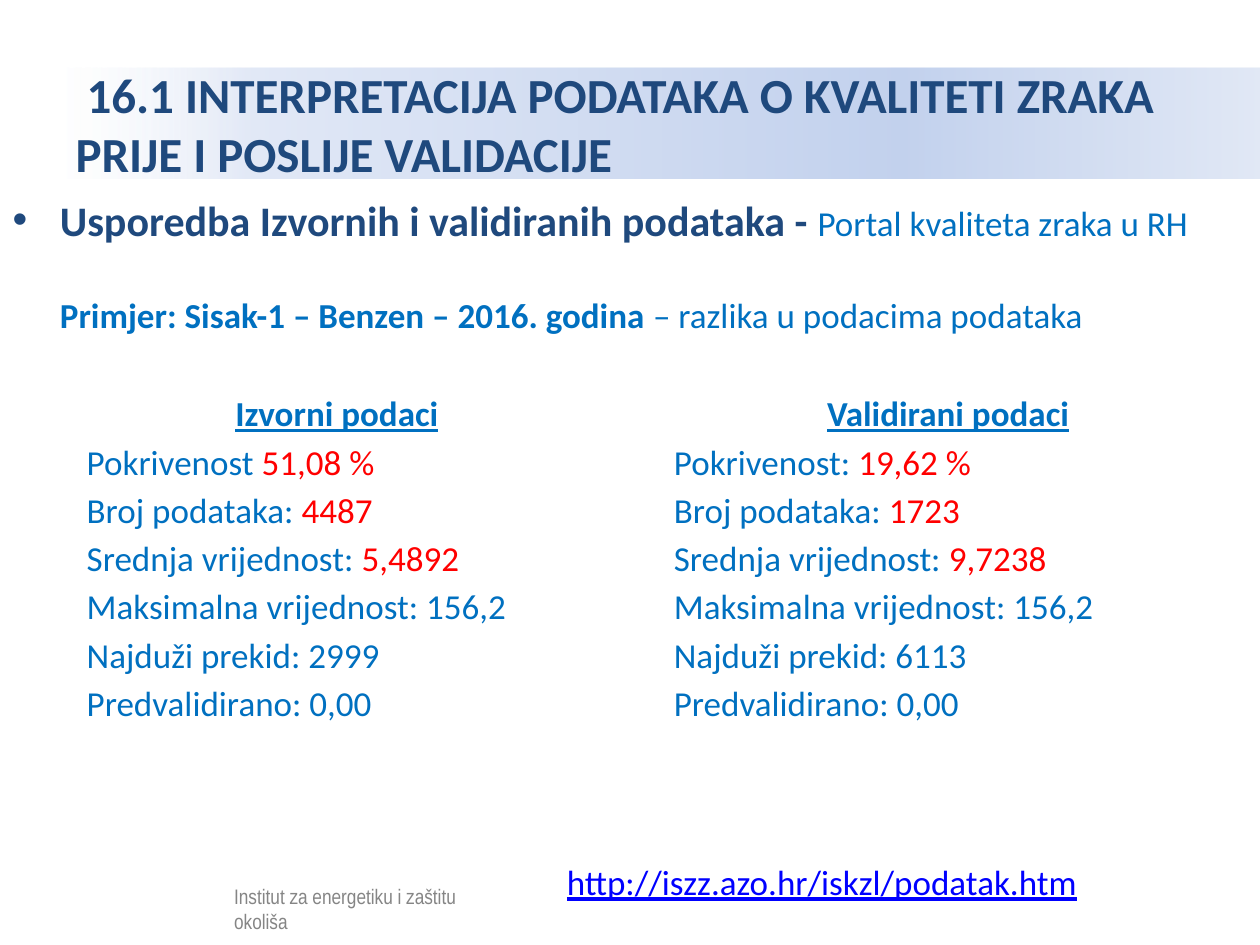
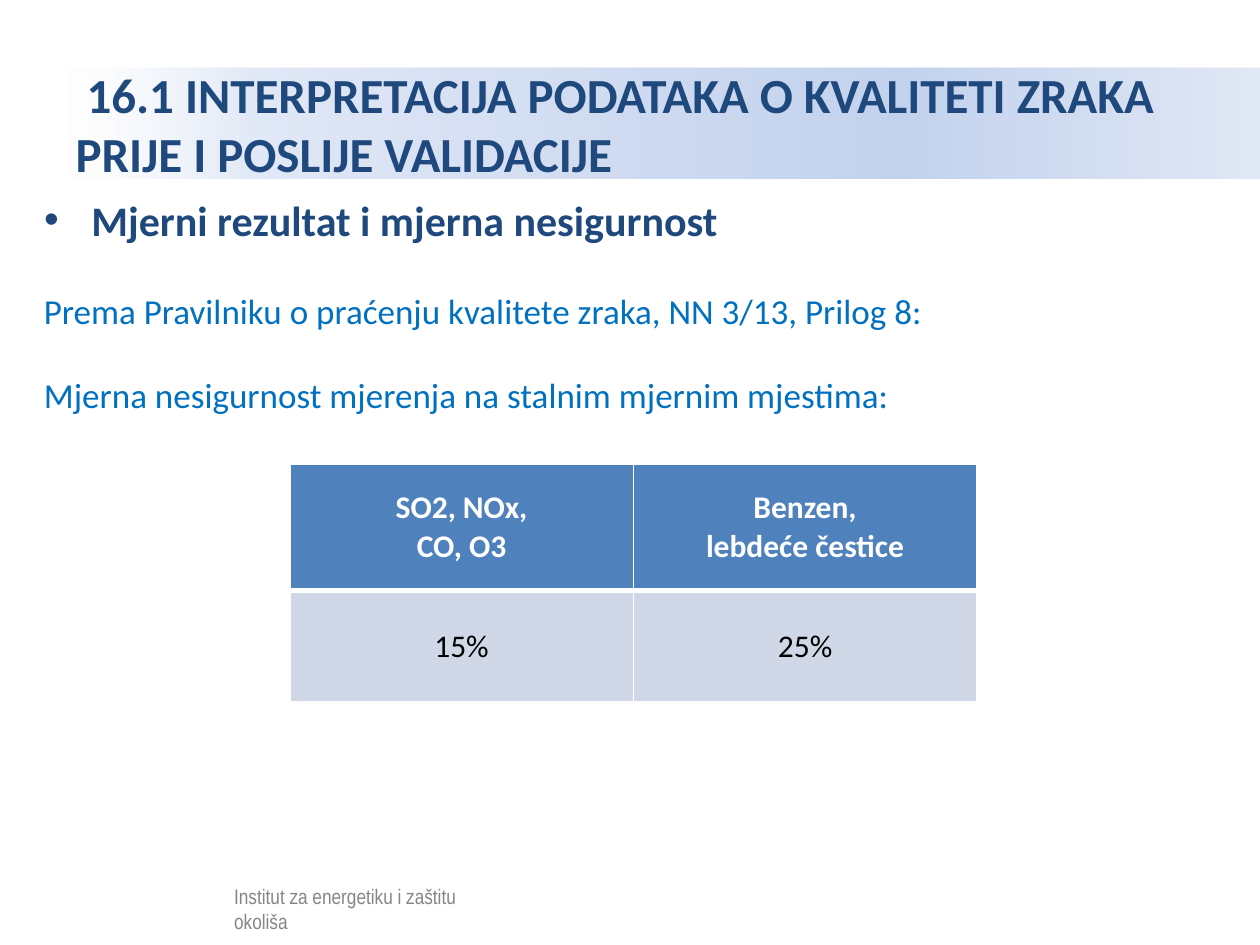
from lxml.etree import SubElement
from pptx import Presentation
from pptx.dml.color import RGBColor
from pptx.enum.shapes import MSO_SHAPE as Shape
from pptx.enum.text import MSO_ANCHOR as Anchor, MSO_AUTO_SIZE as AutoSize, PP_ALIGN as Align
from pptx.oxml.ns import qn
from pptx.util import Pt

NAVY = RGBColor(0x1F, 0x49, 0x7D)
BLUE = RGBColor(0x00, 0x70, 0xC0)
RED = RGBColor(0xFF, 0x00, 0x00)
LINK = RGBColor(0x00, 0x00, 0xFF)
BLACK = RGBColor(0x00, 0x00, 0x00)
WHITE = RGBColor(0xFF, 0xFF, 0xFF)
HEADER = RGBColor(0x4F, 0x81, 0xBD)
BAND = RGBColor(0xD0, 0xD8, 0xE8)
TITLE_STOPS = [
    (0, WHITE, 52),
    (16, RGBColor(0xE1, 0xE8, 0xF6), 100),
    (70, RGBColor(0xC2, 0xD1, 0xED), 100),
    (100, RGBColor(0xE1, 0xE8, 0xF5), 100),
]

TITLE = "16.1 INTERPRETACIJA PODATAKA O KVALITETI ZRAKA PRIJE I POSLIJE VALIDACIJE"
FOOTER = "Institut za energetiku i zaštitu okoliša"
PORTAL_URL = "http://iszz.azo.hr/iskzl/podatak.htm"

PLAIN = dict(size=20, color=BLUE, bold=False)
COMPARISON = [("Usporedba Izvornih i validiranih podataka - ", {}),
              ("Portal kvaliteta zraka u RH", PLAIN)]
EXAMPLE = [("Primjer: Sisak-1 – Benzen – 2016. godina", dict(PLAIN, bold=True)),
           (" – razlika u podacima podataka", PLAIN)]
UNCERTAINTY = "Mjerni rezultat i mjerna nesigurnost"
REGULATION = ["Prema Pravilniku o praćenju kvalitete zraka, NN 3/13, Prilog 8:",
              "Mjerna nesigurnost mjerenja na stalnim mjernim mjestima:"]

DATA_SETS = [
    ("Izvorni podaci", (42.5, 220.3, 300.2, 239.8), [
        ("Pokrivenost ", "51,08 %"), ("Broj podataka: ", "4487"),
        ("Srednja vrijednost: ", "5,4892"), ("Maksimalna vrijednost: ", "156,2"),
        ("Najduži prekid: ", "2999"), ("Predvalidirano: ", "0,00")]),
    ("Validirani podaci", (378, 220.3, 327.6, 233.3), [
        ("Pokrivenost: ", "19,62 %"), ("Broj podataka: ", "1723"),
        ("Srednja vrijednost: ", "9,7238"), ("Maksimalna vrijednost: ", "156,2"),
        ("Najduži prekid: ", "6113"), ("Predvalidirano: ", "0,00")]),
]
HIGHLIGHTED_COUNT = 3

LIMITS = [[["SO2, NOx,", "CO, O3"], ["Benzen,", "lebdeće čestice"]],
          [["15%"], ["25%"]]]
LIMIT_ROWS = [(72.5, HEADER, WHITE, True), (63.6, BAND, BLACK, False)]
LIMIT_COLUMN = 196.3


def write(frame, paragraphs, size=20, color=BLUE, bold=False, underline=False,
          font="Calibri", align=Align.LEFT, gap=0):
    frame.word_wrap = True
    for index, runs in enumerate(paragraphs):
        paragraph = frame.add_paragraph() if index else frame.paragraphs[0]
        paragraph.alignment = align
        paragraph.space_before = Pt(gap if index else 0)
        for text, changes in [(runs, {})] if isinstance(runs, str) else runs:
            style = dict(size=size, color=color, bold=bold, underline=underline) | changes
            run = paragraph.add_run()
            run.text = text
            run.font.name = font
            run.font.size = Pt(style["size"])
            run.font.bold = style["bold"]
            run.font.underline = style["underline"]
            run.font.color.rgb = style["color"]


def place(shape, box):
    shape.left, shape.top, shape.width, shape.height = map(Pt, box)


def add_text(slide, box, paragraphs, **style):
    frame = slide.shapes.add_textbox(*map(Pt, box)).text_frame
    write(frame, paragraphs, **style)


def indent(paragraph, left, first):
    properties = paragraph._p.get_or_add_pPr()
    properties.set("marL", str(Pt(left)))
    properties.set("indent", str(Pt(first)))
    return properties


def add_color(parent, color, opacity=100):
    node = SubElement(parent, qn("a:srgbClr"), val=str(color))
    SubElement(node, qn("a:alpha"), val=str(opacity * 1000))


def add_base_slide(deck, body_box, body_paragraphs):
    slide = deck.slides.add_slide(deck.slide_layouts[1])
    title = slide.shapes.title
    place(title, (36, 38.9, 684, 63.4))
    title.fill.gradient()
    title.fill.gradient_angle = 0
    stops = title.element.spPr.find(qn("a:gradFill")).find(qn("a:gsLst"))
    for stop in list(stops):
        stops.remove(stop)
    for position, color, opacity in TITLE_STOPS:
        add_color(SubElement(stops, qn("a:gs"), pos=str(position * 1000)), color, opacity)
    write(title.text_frame, [TITLE], size=28, color=NAVY, bold=True)
    indent(title.text_frame.paragraphs[0], 0, 6.3)
    title.text_frame.vertical_anchor = Anchor.MIDDLE
    title.text_frame.auto_size = AutoSize.NONE

    body = slide.placeholders[1]
    place(body, body_box)
    write(body.text_frame, body_paragraphs, size=24, color=NAVY, bold=True, gap=28)
    body.text_frame.auto_size = AutoSize.NONE

    add_text(slide, (126.7, 501.1, 150.5, 18), [FOOTER], size=12, color=BLACK,
             font="Arial Narrow")
    veil = slide.shapes.add_shape(Shape.RECTANGLE, *map(Pt, (29.5, 499, 275, 34.6)))
    veil.shadow.inherit = False
    veil.line.fill.background()
    veil.fill.solid()
    veil.fill.fore_color.rgb = WHITE
    veil_color = veil.element.spPr.find(qn("a:solidFill"))[0]
    SubElement(veil_color, qn("a:alpha"), val="52000")
    return slide, body


def add_comparison_slide(deck):
    slide, body = add_base_slide(deck, (0, 107.3, 686.2, 74.2), [COMPARISON, EXAMPLE])
    SubElement(indent(body.text_frame.paragraphs[1], 27, 0), qn("a:buNone"))
    for heading, box, measures in DATA_SETS:
        rows = [[(label, {}), (value, dict(color=RED) if index < HIGHLIGHTED_COUNT else {})]
                for index, (label, value) in enumerate(measures)]
        heading_runs = [(heading, dict(bold=True, underline=True))]
        data_set = slide.shapes.add_textbox(*map(Pt, box)).text_frame
        write(data_set, [heading_runs, *rows], gap=3.6)
        data_set.paragraphs[0].alignment = Align.CENTER
    add_text(slide, (316.8, 488.2, 364.3, 31.7), [PORTAL_URL], color=LINK, underline=True)


def add_borders(cell, widths):
    properties = cell._tc.get_or_add_tcPr()
    for side, width in zip("LRTB", widths):
        line = SubElement(properties, qn(f"a:ln{side}"), w=str(Pt(width)))
        add_color(SubElement(line, qn("a:solidFill")), WHITE)


def add_uncertainty_slide(deck):
    slide, _ = add_base_slide(deck, (18, 107.3, 668.9, 42.5), [UNCERTAINTY])
    add_text(slide, (18, 162, 678.2, 80.6), REGULATION, gap=24)
    height = sum(row[0] for row in LIMIT_ROWS)
    limits = slide.shapes.add_table(2, 2, *map(Pt, (165.6, 265, 2 * LIMIT_COLUMN, height))).table
    for column in limits.columns:
        column.width = Pt(LIMIT_COLUMN)
    for index, (row_height, fill, color, bold) in enumerate(LIMIT_ROWS):
        limits.rows[index].height = Pt(row_height)
        for column, lines in enumerate(LIMITS[index]):
            cell = limits.cell(index, column)
            add_borders(cell, (1, 1, 3, 1) if index else (1, 1, 1, 3))
            cell.fill.solid()
            cell.fill.fore_color.rgb = fill
            cell.vertical_anchor = Anchor.MIDDLE
            write(cell.text_frame, lines, size=18, color=color, bold=bold, align=Align.CENTER)


def main():
    deck = Presentation()
    deck.slide_width, deck.slide_height = Pt(720), Pt(540)
    add_comparison_slide(deck)
    add_uncertainty_slide(deck)
    deck.save("out.pptx")


if __name__ == "__main__":
    main()
